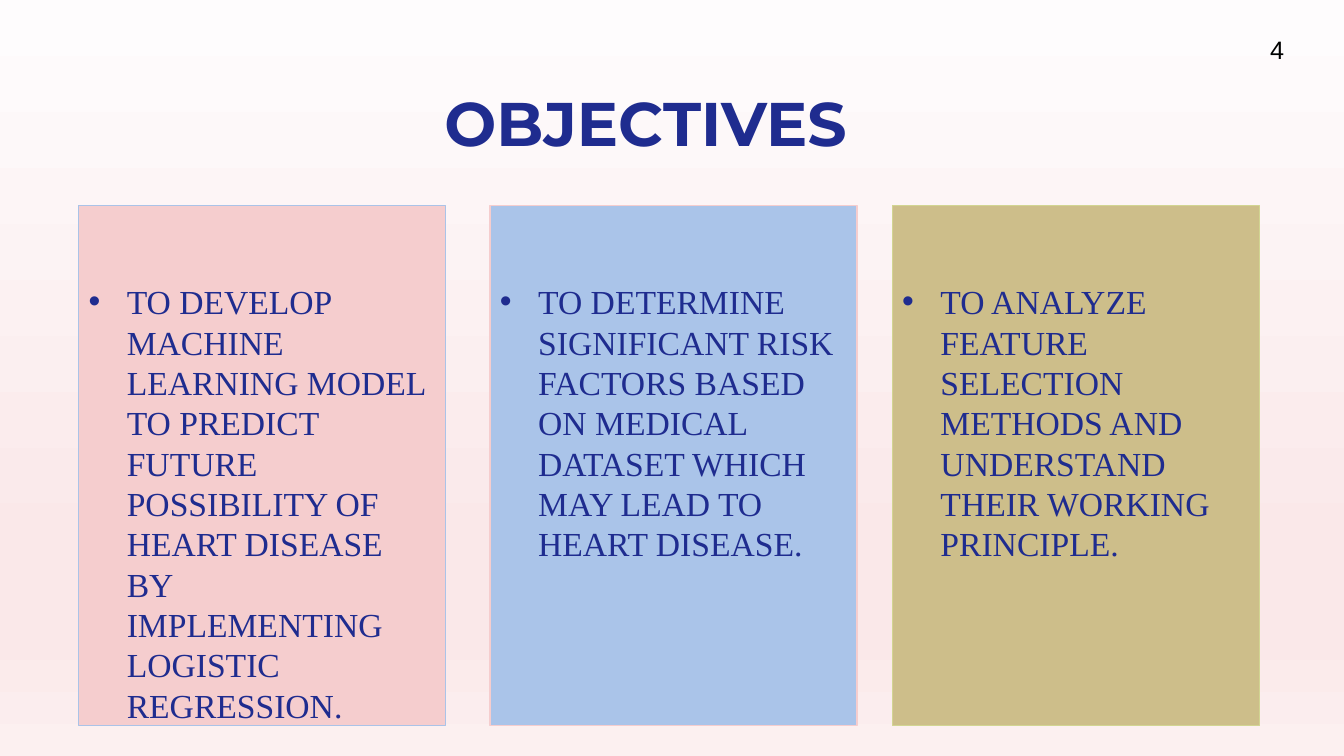
from lxml import etree
from pptx import Presentation
from pptx.dml.color import RGBColor
from pptx.enum import shapes, text
from pptx.oxml import ns
from pptx.util import Inches, Pt

NAVY = RGBColor(0x1F, 0x2C, 0x8F)
BLACK = RGBColor(0x00, 0x00, 0x00)
PINK = RGBColor(0xF5, 0xCD, 0xCE)
BLUE = RGBColor(0xAA, 0xC4, 0xE9)
BLUE_EDGE = RGBColor(0xAA, 0xC3, 0xE8)
SAND = RGBColor(0xCD, 0xBE, 0x8A)
SAND_EDGE = RGBColor(0xD2, 0xD5, 0x92)
BACKDROP = [  # position in percent, colour
    (0, RGBColor(0xFE, 0xFC, 0xFD)),
    (74, RGBColor(0xFA, 0xE8, 0xE9)),
    (83, RGBColor(0xFA, 0xE8, 0xE9)),
    (100, RGBColor(0xFC, 0xF0, 0xF0)),
]

# Content
HEADING = "OBJECTIVES"
PAGE_NUMBER = "4"
OBJECTIVES = [  # left, fill, edge, wording
    (0.78, PINK, BLUE_EDGE,
     "TO DEVELOP MACHINE LEARNING MODEL TO PREDICT FUTURE POSSIBILITY OF "
     "HEART DISEASE BY IMPLEMENTING LOGISTIC REGRESSION."),
    (4.86, BLUE, PINK,
     "TO DETERMINE SIGNIFICANT RISK FACTORS BASED ON MEDICAL DATASET WHICH "
     "MAY LEAD TO HEART DISEASE."),
    (8.85, SAND, SAND_EDGE,
     "TO ANALYZE FEATURE SELECTION METHODS AND UNDERSTAND THEIR WORKING "
     "PRINCIPLE."),
]

# Formats
CARD_TOP, CARD_WIDTH, CARD_HEIGHT = 2.04, 3.64, 5.16
BULLET_INDENT = Inches(0.38)
HEADING_FONT = {"name": "Montserrat", "size": Pt(44), "bold": True}
OBJECTIVE_FONT = {"name": "Times New Roman", "size": Pt(24)}
NUMBER_FONT = {"name": "Arial", "size": Pt(18)}
CARD_FRAME = {
    "word_wrap": True,
    "vertical_anchor": text.MSO_ANCHOR.TOP,
    "margin_left": Inches(0.1),
    "margin_top": Inches(0.75),
    "margin_right": Inches(0.1),
    "margin_bottom": Inches(0.05),
}


def apply(target, values):
    for name, value in values.items():
        setattr(target, name, value)


def write(frame, wording, font, colour, align):
    paragraph = frame.paragraphs[0]
    paragraph.alignment = align
    run = paragraph.add_run()
    run.text = wording
    apply(run.font, font)
    run.font.color.rgb = colour
    return paragraph


def add_bullet(paragraph):
    props = paragraph._p.get_or_add_pPr()
    props.set("marL", str(BULLET_INDENT))
    props.set("indent", str(-BULLET_INDENT))
    etree.SubElement(props, ns.qn("a:buFont")).set("typeface", "Arial")
    etree.SubElement(props, ns.qn("a:buChar")).set("char", "•")


def paint_backdrop(slide):
    fill = slide.background.fill
    fill.gradient()
    fill.gradient_angle = 270
    stops = slide._element.find(".//" + ns.qn("a:gsLst"))
    for stop in list(stops):
        stops.remove(stop)
    for percent, colour in BACKDROP:
        stop = etree.SubElement(stops, ns.qn("a:gs"), pos=str(percent * 1000))
        etree.SubElement(stop, ns.qn("a:srgbClr"), val=str(colour))


def main():
    deck = Presentation()
    deck.slide_width, deck.slide_height = Inches(13.33), Inches(7.5)
    slide = deck.slides.add_slide(deck.slide_layouts[6])
    paint_backdrop(slide)

    # Heading
    heading = slide.shapes.add_textbox(
        Inches(0.57), Inches(0.79), Inches(11.67), Inches(0.84)).text_frame
    heading.word_wrap = True
    heading.vertical_anchor = text.MSO_ANCHOR.MIDDLE
    write(heading, HEADING, HEADING_FONT, NAVY, text.PP_ALIGN.CENTER)

    # Objective cards
    for left, fill, edge, wording in OBJECTIVES:
        card = slide.shapes.add_shape(
            shapes.MSO_SHAPE.RECTANGLE, Inches(left), Inches(CARD_TOP),
            Inches(CARD_WIDTH), Inches(CARD_HEIGHT))
        card.shadow.inherit = False
        card.fill.solid()
        card.fill.fore_color.rgb = fill
        card.line.color.rgb = edge
        card.line.width = Pt(1)
        apply(card.text_frame, CARD_FRAME)
        objective = write(card.text_frame, wording, OBJECTIVE_FONT, NAVY,
                          text.PP_ALIGN.LEFT)
        objective.line_spacing = Pt(28.8)
        add_bullet(objective)

    # Page number
    number = slide.shapes.add_textbox(
        Inches(12.5), Inches(0.29), Inches(0.52), Inches(0.4)).text_frame
    number.word_wrap = True
    number.auto_size = text.MSO_AUTO_SIZE.SHAPE_TO_FIT_TEXT
    write(number, PAGE_NUMBER, NUMBER_FONT, BLACK, text.PP_ALIGN.LEFT)

    deck.save("out.pptx")


if __name__ == "__main__":
    main()
